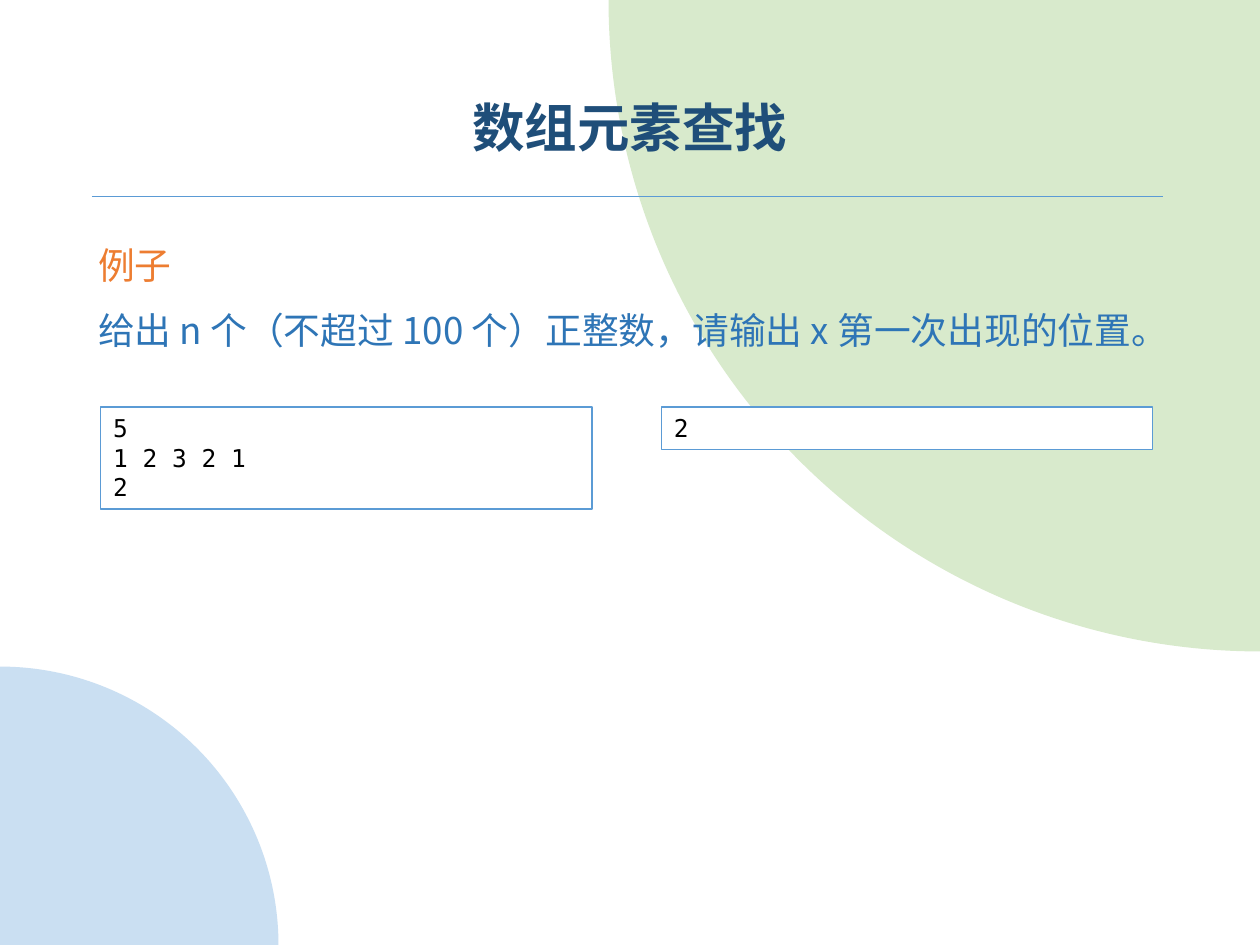
from dataclasses import dataclass

from lxml import etree
from pptx import Presentation
from pptx.dml.color import RGBColor
from pptx.enum.shapes import MSO_CONNECTOR, MSO_SHAPE
from pptx.enum.text import MSO_ANCHOR, PP_ALIGN
from pptx.oxml.ns import qn
from pptx.util import Inches, Pt

PIE, RECTANGLE = MSO_SHAPE.PIE, MSO_SHAPE.RECTANGLE
STRAIGHT = MSO_CONNECTOR.STRAIGHT
CENTER, LEFT = PP_ALIGN.CENTER, PP_ALIGN.LEFT
TOP, BOTTOM = MSO_ANCHOR.TOP, MSO_ANCHOR.BOTTOM

WIDTH, HEIGHT = 10, 7.5
MARGIN = 0.68
CONTENT_WIDTH = WIDTH - 2 * MARGIN
SAMPLE_LEFT, SAMPLE_TOP, SAMPLE_WIDTH, SAMPLE_STEP = 0.8, 3.23, 3.9, 4.45
TEXT_FONT, CODE_FONT = "Noto Sans CJK SC", "DejaVu Sans Mono"
COLORS = {
    "green": "D8EACC",
    "pale_blue": "CADFF2",
    "line": "5B9BD5",
    "title": "1F4E79",
    "heading": "ED7D31",
    "body": "2E75B6",
    "white": "FFFFFF",
    "black": "000000",
}


@dataclass
class QuarterCircle:
    center_x: float
    center_y: float
    radius: float
    rotation: int
    color: str


@dataclass
class Sample:
    column: int
    height: float
    lines: list[str]


QUARTERS = [
    QuarterCircle(WIDTH, 0, 5.17, 270, "green"),
    QuarterCircle(0, HEIGHT, 2.21, 90, "pale_blue"),
]
SAMPLES = [Sample(0, 0.81, ["5", "1 2 3 2 1", "2"]), Sample(1, 0.34, ["2"])]
BODY = [
    ("例子", "heading"),
    ("给出 n 个（不超过 100 个）正整数，请输出 x 第一次出现的位置。", "body"),
]


def rgb(name: str) -> RGBColor:
    return RGBColor.from_string(COLORS[name])


def format_paragraph(paragraph, font_name: str, size: float, color: str, bold=False):
    """Style every run, for Latin and East Asian text alike."""
    for run in paragraph.runs:
        font = run.font
        font.name, font.size, font.bold = font_name, Pt(size), bold
        font.color.rgb = rgb(color)
        east_asian = etree.Element(qn("a:ea"), typeface=font_name)
        run._r.rPr.find(qn("a:latin")).addnext(east_asian)


def add_quarter(slide, quarter: QuarterCircle):
    """Draw a pie whose visible quarter points into the slide."""
    diameter = Inches(2 * quarter.radius)
    shape = slide.shapes.add_shape(
        PIE,
        Inches(quarter.center_x - quarter.radius),
        Inches(quarter.center_y - quarter.radius),
        diameter,
        diameter,
    )
    shape.adjustments[0], shape.adjustments[1] = 108, 162
    shape.rotation = quarter.rotation
    shape.shadow.inherit = False
    shape.fill.solid()
    shape.fill.fore_color.rgb = rgb(quarter.color)
    shape.line.fill.background()


def add_rule(slide):
    y = Inches(1.56)
    rule = slide.shapes.add_connector(STRAIGHT, Inches(0.73), y, Inches(9.23), y)
    rule.line.color.rgb = rgb("line")
    rule.line.width = Pt(1)
    etree.SubElement(rule._element.spPr, qn("a:effectLst"))


def set_title(slide):
    title = slide.shapes.title
    title.left, title.top = Inches(MARGIN), Inches(0.51)
    title.width, title.height = Inches(CONTENT_WIDTH), Inches(0.8)
    frame = title.text_frame
    frame.text = "数组元素查找"
    frame.vertical_anchor = BOTTOM
    paragraph = frame.paragraphs[0]
    paragraph.alignment = CENTER
    paragraph.line_spacing = 0.9
    format_paragraph(paragraph, TEXT_FONT, 30, "title", bold=True)


def add_body(slide):
    box = slide.shapes.add_textbox(
        Inches(MARGIN), Inches(1.88), Inches(CONTENT_WIDTH), Inches(4.89)
    )
    frame = box.text_frame
    frame.word_wrap = True
    frame.text = "\n".join(text for text, _ in BODY)
    for paragraph, (_, color) in zip(frame.paragraphs, BODY):
        format_paragraph(paragraph, TEXT_FONT, 21, color)
    frame.paragraphs[1].space_before = Pt(12)


def add_sample(slide, sample: Sample):
    shape = slide.shapes.add_shape(
        RECTANGLE,
        Inches(SAMPLE_LEFT + sample.column * SAMPLE_STEP),
        Inches(SAMPLE_TOP),
        Inches(SAMPLE_WIDTH),
        Inches(sample.height),
    )
    shape.shadow.inherit = False
    shape.fill.solid()
    shape.fill.fore_color.rgb = rgb("white")
    shape.line.color.rgb = rgb("line")
    shape.line.width = Pt(0.75)
    frame = shape.text_frame
    frame.word_wrap = True
    frame.vertical_anchor = TOP
    frame.text = "\n".join(sample.lines)
    for paragraph in frame.paragraphs:
        paragraph.alignment = LEFT
        format_paragraph(paragraph, CODE_FONT, 14, "black")


def main():
    presentation = Presentation()
    presentation.slide_width, presentation.slide_height = Inches(WIDTH), Inches(HEIGHT)
    slide = presentation.slides.add_slide(presentation.slide_layouts[5])
    for quarter in QUARTERS:
        add_quarter(slide, quarter)
    add_rule(slide)
    set_title(slide)
    add_body(slide)
    for sample in SAMPLES:
        add_sample(slide, sample)
    # The title belongs in front of the background shapes.
    tree = slide.shapes._spTree
    tree.remove(title := slide.shapes.title._element)
    tree.insert(tree.index(slide.shapes[len(QUARTERS)]._element) + 1, title)
    presentation.save("out.pptx")


if __name__ == "__main__":
    main()
